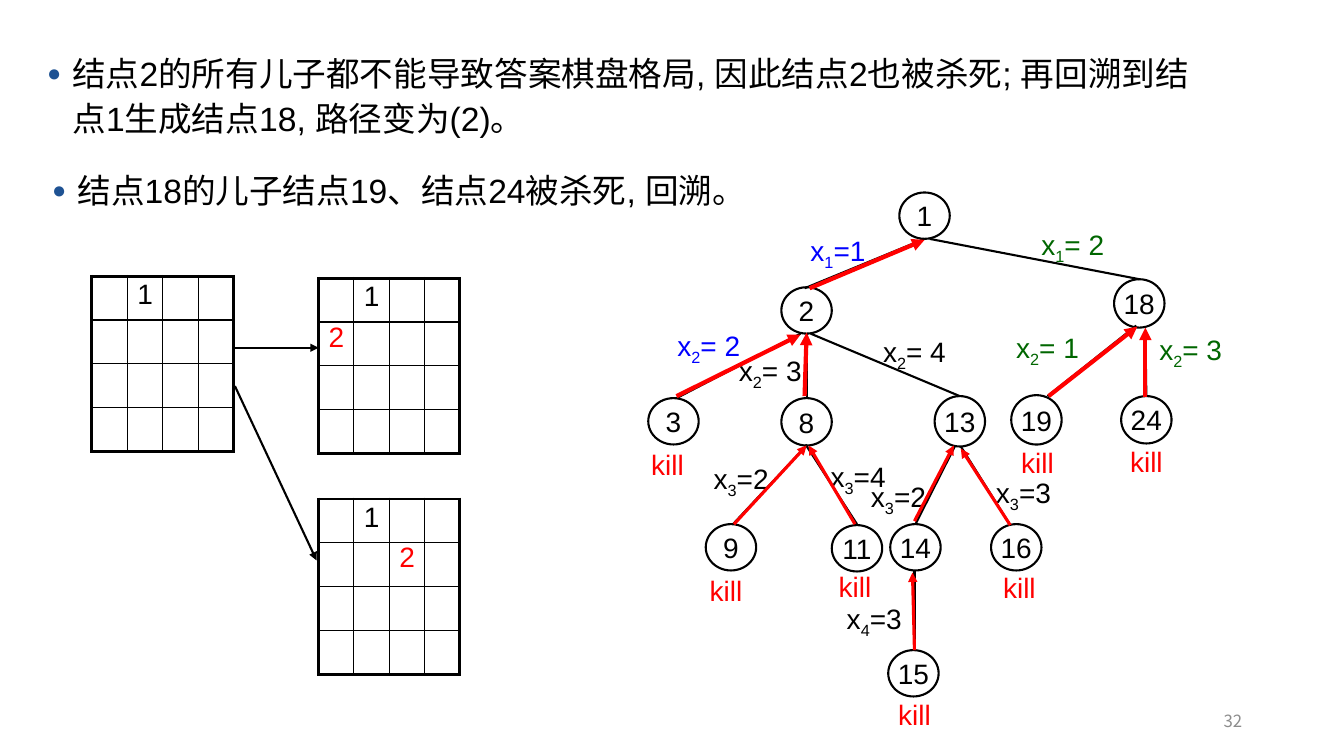
from pptx import Presentation
from pptx.dml.color import RGBColor as RGB
from pptx.enum.shapes import MSO_CONNECTOR as CONN, MSO_SHAPE as SHAPE
from pptx.enum.text import MSO_ANCHOR as ANCHOR, PP_ALIGN as ALIGN
from pptx.oxml.ns import qn
from pptx.util import Inches, Pt
from lxml.etree import SubElement as Sub

INK = {"black": "000000", "red": "FF0000", "blue": "0000FF",
       "green": "006600", "dot": "1E5293", "gray": "8C8C8C"}


class Board:
    def __init__(self, slide, font="Arial", size=20):
        self.slide, self.font, self.size = slide, font, size

    def style(self, para, ink="black", size=None, font=None):
        for run in para.runs:
            run.font.name = font or self.font
            run.font.size = Pt(size or self.size)
            run.font.color.rgb = RGB.from_string(INK[ink])

    def text(self, words, x, y, w, h, ink="black", size=None, font=None, space=1):
        box = self.slide.shapes.add_textbox(*map(Inches, (x, y, w, h)))
        frame = box.text_frame
        frame.word_wrap = True
        frame.text = words
        para = frame.paragraphs[0]
        para.line_spacing = space
        self.style(para, ink, size, font)
        return frame

    def bullet(self, words, x, y, w, h):
        para = self.text(words, x, y, w, h, size=24, space=1.1).paragraphs[0]
        para.space_before = Pt(10)
        props = para._p.get_or_add_pPr()
        props.set("marL", str(Inches(0.25)))
        props.set("indent", str(Inches(-0.25)))
        Sub(Sub(props, qn("a:buClr")), qn("a:srgbClr"), val=INK["dot"])
        Sub(props, qn("a:buSzPct"), val="70000")
        Sub(props, qn("a:buFont"), typeface=self.font)
        Sub(props, qn("a:buChar"), char="●")

    def page(self, words, x, y, w, h):
        frame = self.text(words, x, y, w, h, "gray", 12, "Noto Sans CJK SC")
        frame.vertical_anchor = ANCHOR.MIDDLE
        frame.paragraphs[0].alignment = ALIGN.RIGHT

    def label(self, sub, value, x, y, ink="black", space=1):
        para = self.text("x", x, y, 0.96, 0.44, space=space).paragraphs[0]
        for part in (sub, value):
            para.add_run().text = part
        self.style(para, ink)
        para.runs[1].font._element.set("baseline", "-25000")

    def node(self, name, x, y, h):
        oval = self.slide.shapes.add_shape(SHAPE.OVAL, *map(Inches, (x, y, 0.5, h)))
        oval.shadow.inherit = False
        oval.fill.background()
        oval.line.color.rgb = RGB.from_string(INK["black"])
        oval.line.width = Pt(1.5)
        frame = oval.text_frame
        frame.word_wrap = False
        frame.vertical_anchor = ANCHOR.MIDDLE
        frame.text = name
        frame.paragraphs[0].alignment = ALIGN.CENTER
        self.style(frame.paragraphs[0])

    def line(self, x1, y1, x2, y2, ink="black", width=1.5, arrow=False):
        link = self.slide.shapes.add_connector(
            CONN.STRAIGHT, *map(Inches, (x1, y1, x2, y2)))
        link.line.color.rgb = RGB.from_string(INK[ink])
        link.line.width = Pt(width)
        if arrow:
            Sub(link.line._get_or_add_ln(), qn("a:tailEnd"), type="triangle")
        Sub(link._element.spPr, qn("a:effectLst"))

    def edge(self, cell, side, width):
        rule = Sub(cell._tc.get_or_add_tcPr(), qn("a:ln" + side), w=str(Pt(width)))
        Sub(Sub(rule, qn("a:solidFill")), qn("a:srgbClr"), val=INK["black"])

    def chess(self, x, y, w, queens):
        count, row = 4, 0.435
        table = self.slide.shapes.add_table(
            count, count, *map(Inches, (x, y, w, count * row))).table
        table.first_row = table.horz_banding = False
        for k in range(count):
            table.columns[k].width = Inches(w / count)
            table.rows[k].height = Inches(row)
        for r in range(count):
            for c in range(count):
                cell = table.cell(r, c)
                outer = {"L": c == 0, "R": c == count - 1,
                         "T": r == 0, "B": r == count - 1}
                for side, thick in outer.items():
                    self.edge(cell, side, 2.25 if thick else 1)
                cell.fill.background()
                if (r, c) in queens:
                    self.queen(cell, *queens[r, c])

    def queen(self, cell, name, ink, space, anchor):
        cell.text_frame.text = name
        cell.vertical_anchor = anchor
        para = cell.text_frame.paragraphs[0]
        para.alignment = ALIGN.CENTER
        para.line_spacing = space
        self.style(para, ink)


EDGES = [
    (8.04, 3.31, 9.52, 3.93), (9.07, 5.66, 9.07, 6.46), (8, 3.3, 8, 3.95),
    (7.94, 3.31, 6.71, 3.95), (9.17, 2.37, 7.98, 2.86), (7.99, 4.41, 8.5, 5.2),
    (7.99, 4.43, 7.27, 5.2), (9.47, 4.43, 9.08, 5.2), (9.53, 4.43, 10.02, 5.21),
    (9.22, 2.37, 11.3, 2.77), (11.27, 3.23, 10.39, 3.93), (11.36, 3.28, 11.37, 3.93),
]
NODES = [
    ("1", 8.92, 1.91, 0.46), ("2", 7.75, 2.85, 0.46), ("18", 11.05, 2.77, 0.48),
    ("3", 6.43, 3.95, 0.46), ("8", 7.75, 3.95, 0.47), ("13", 9.27, 3.93, 0.5),
    ("19", 10.03, 3.92, 0.49), ("24", 11.12, 3.93, 0.47), ("9", 7, 5.2, 0.46),
    ("11", 8.25, 5.21, 0.46), ("14", 8.83, 5.2, 0.46), ("16", 9.83, 5.2, 0.46),
    ("15", 8.81, 6.45, 0.46),
]
LABELS = [
    ("1", "=1", 7.94, 2.27, "blue"), ("1", "= 2", 10.23, 2.21, "green"),
    ("2", "= 2", 6.62, 3.21, "blue"), ("2", "= 3", 7.23, 3.46),
    ("2", "= 4", 8.66, 3.27), ("2", "= 1", 9.98, 3.23, "green"),
    ("2", "= 3", 11.4, 3.25, "green"), ("3", "=2", 6.98, 4.53),
    ("3", "=4", 8.14, 4.51), ("3", "=2", 8.54, 4.71), ("3", "=3", 9.78, 4.67),
    ("4", "=3", 8.3, 5.98, "black", 0.7),
]
KILLS = [(6.36, 4.46), (10.03, 4.44), (11.11, 4.43), (6.94, 5.71),
         (8.22, 5.67), (9.85, 5.68), (8.81, 6.94)]
BACKS = {
    3: [(6.71, 3.93, 7.94, 3.32), (7.98, 3.93, 8, 3.3), (8.03, 2.86, 9.17, 2.38),
        (11.36, 3.94, 11.36, 3.25), (10.4, 3.93, 11.28, 3.24)],
    2.25: [(7.28, 5.2, 8, 4.42), (8.48, 5.2, 8.02, 4.42), (9.07, 6.45, 9.05, 5.68),
           (9.07, 5.17, 9.46, 4.42), (10.02, 5.21, 9.53, 4.45)],
}
FIRST = {(0, 1): ("1", "black", 0.7, ANCHOR.MIDDLE)}
NEXT = ("2", "red", 0.8, ANCHOR.TOP)


def main():
    deck = Presentation()
    deck.slide_width, deck.slide_height = Inches(13.33), Inches(7.5)
    board = Board(deck.slides.add_slide(deck.slide_layouts[6]))
    board.bullet("结点2的所有儿子都不能导致答案棋盘格局, 因此结点2也被杀死; "
                 "再回溯到结点1生成结点18, 路径变为(2)。", 0.37, 0.44, 11.73, 1.32)
    board.bullet("结点18的儿子结点19、结点24被杀死, 回溯。", 0.42, 1.6, 7.33, 0.55)
    board.page("32", 9.42, 6.95, 3, 0.4)
    for ends in EDGES:
        board.line(*ends)
    for node in NODES:
        board.node(*node)
    for label in LABELS:
        board.label(*label)
    for x, y in KILLS:
        board.text("kill", x, y, 0.73, 0.37, "red", space=0.8)
    for width, lines in BACKS.items():
        for ends in lines:
            board.line(*ends, "red", width, True)
    board.chess(0.91, 2.74, 1.41, FIRST)
    board.chess(3.16, 2.76, 1.4, {**FIRST, (1, 0): NEXT})
    board.chess(3.16, 4.95, 1.4, {**FIRST, (1, 2): NEXT})
    board.line(2.33, 3.45, 3.16, 3.45, arrow=True)
    board.line(2.33, 3.83, 3.14, 5.56, arrow=True)
    deck.save("out.pptx")


if __name__ == "__main__":
    main()
